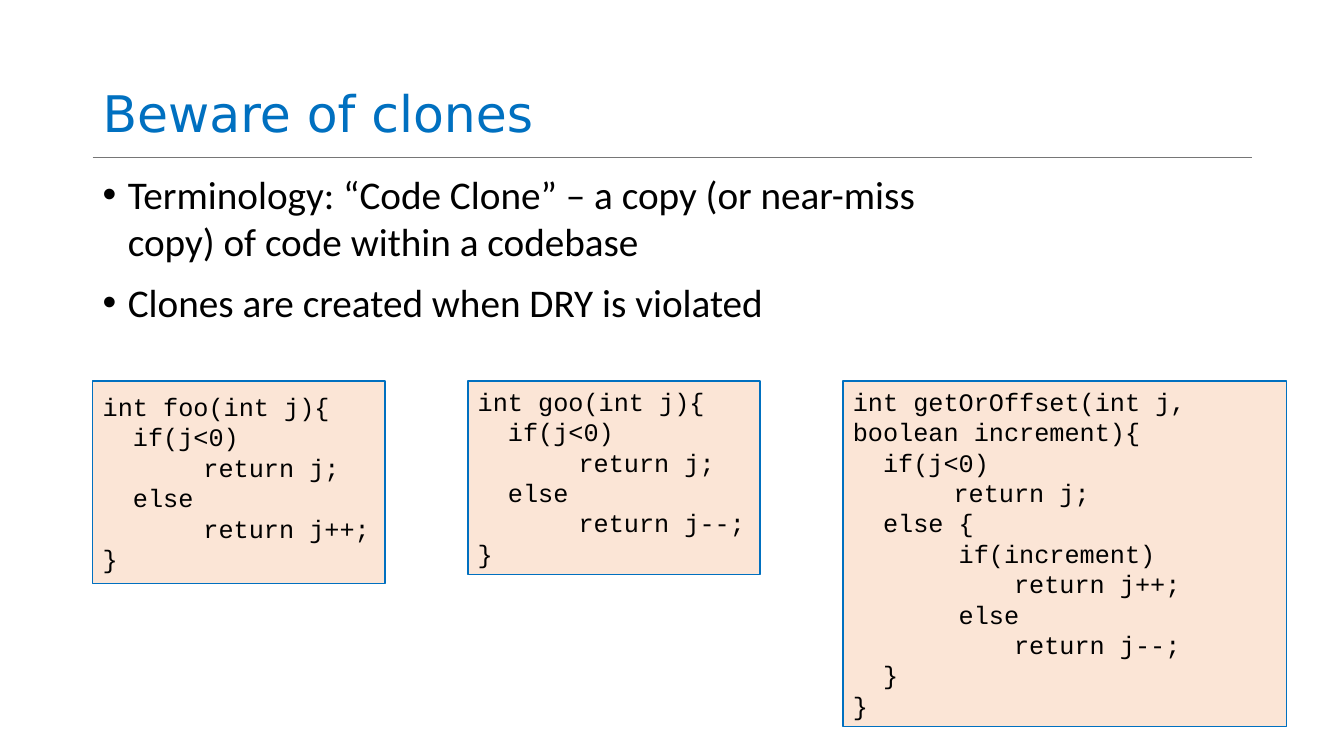
import pptx
import pptx.dml.color
import pptx.enum.shapes
import pptx.enum.text
import pptx.oxml
import pptx.oxml.ns
import pptx.util
from pptx.util import Inches

RGBColor = pptx.dml.color.RGBColor
Pt = pptx.util.Pt
Anchor = pptx.enum.text.MSO_ANCHOR

BLUE = RGBColor(0x00, 0x70, 0xC0)
BLACK = RGBColor(0x00, 0x00, 0x00)
PEACH = RGBColor(0xFB, 0xE5, 0xD6)
GRAY = RGBColor(0x76, 0x76, 0x76)

LEFT = 0.92
CODE_TOP = 3.78
CODE_STEP = 3.72

BULLETS = [
    "Terminology: “Code Clone” – a copy (or near-miss copy) of code within a codebase",
    "Clones are created when DRY is violated",
]


def simple_clone(name, change):
    return [f"int {name}(int j){{", "  if(j<0)", "  \treturn j;", "  else",
            f"  \treturn {change};", "}"]


MERGED = [
    "int getOrOffset(int j, boolean increment){",
    "  if(j<0)",
    "  \treturn j;",
    "  else {",
    "       if(increment)",
    " \t    return j++;",
    "       else",
    "  \t    return j--;",
    "  }",
    "}",
]

# width, height, anchor, lines
CODE_BOXES = [
    (2.9, 2.01, Anchor.MIDDLE, simple_clone("foo", "j++")),
    (2.9, 1.92, Anchor.TOP, simple_clone("goo", "j--")),
    (4.4, 3.43, Anchor.TOP, MERGED),
]


class SlideBuilder:
    title_font = "DejaVu Sans"
    body_font = "Calibri"
    code_font = "Courier New"

    def __init__(self, slide):
        self.slide = slide

    def add_text(self, paragraph, text, font_name, size, color):
        paragraph.alignment = pptx.enum.text.PP_ALIGN.LEFT
        run = paragraph.add_run()
        run.text = text
        run.font.name = font_name
        run.font.size = Pt(size)
        run.font.color.rgb = color

    def paragraphs(self, frame, lines):
        """Yield each line with its own paragraph in the frame."""
        for index, line in enumerate(lines):
            yield (frame.add_paragraph() if index else frame.paragraphs[0]), line

    def text_frame(self, left, top, width, height, anchor):
        box = self.slide.shapes.add_textbox(
            Inches(left), Inches(top), Inches(width), Inches(height))
        box.text_frame.word_wrap = True
        box.text_frame.vertical_anchor = anchor
        return box.text_frame

    def title(self, text):
        frame = self.text_frame(LEFT, 0.02, 11.5, 1.45, Anchor.BOTTOM)
        paragraph = frame.paragraphs[0]
        paragraph.line_spacing = 0.9
        self.add_text(paragraph, text, self.title_font, 36, BLUE)

    def rule(self):
        line = self.slide.shapes.add_connector(
            pptx.enum.shapes.MSO_CONNECTOR.STRAIGHT,
            Inches(LEFT), Inches(1.56), Inches(12.42), Inches(1.56))
        line.line.color.rgb = GRAY
        line.line.width = Pt(0.5)
        properties = line._element.spPr
        properties.append(pptx.oxml.parse_xml(
            f"<a:effectLst {pptx.oxml.ns.nsdecls('a')}/>"))

    def bullets(self, lines):
        frame = self.text_frame(LEFT, 1.64, 8.63, 4.76, Anchor.TOP)
        for paragraph, line in self.paragraphs(frame, lines):
            properties = paragraph._p.get_or_add_pPr()
            properties.set("marL", str(Inches(0.25)))
            properties.set("indent", str(-Inches(0.25)))
            for tag, name, value in (("buFont", "typeface", "Arial"),
                                     ("buChar", "char", "•")):
                properties.append(pptx.oxml.parse_xml(
                    f"<a:{tag} {pptx.oxml.ns.nsdecls('a')} {name}='{value}'/>"))
            if line != lines[0]:
                paragraph.space_before = Pt(10)
            self.add_text(paragraph, line, self.body_font, 28, BLACK)

    def code_box(self, left, width, height, anchor, lines):
        box = self.slide.shapes.add_shape(
            pptx.enum.shapes.MSO_SHAPE.RECTANGLE,
            Inches(left), Inches(CODE_TOP), Inches(width), Inches(height))
        box.shadow.inherit = False
        box.fill.solid()
        box.fill.fore_color.rgb = PEACH
        box.line.color.rgb = BLUE
        box.line.width = Pt(1)
        frame = box.text_frame
        frame.word_wrap = True
        frame.vertical_anchor = anchor
        for paragraph, line in self.paragraphs(frame, lines):
            paragraph._p.get_or_add_pPr().set("defTabSz", str(Inches(1)))
            paragraph.line_spacing = Pt(21.7)
            self.add_text(paragraph, line, self.code_font, 18, BLACK)


def main():
    presentation = pptx.Presentation()
    presentation.slide_width = Inches(13.33)
    presentation.slide_height = Inches(7.5)
    builder = SlideBuilder(presentation.slides.add_slide(presentation.slide_layouts[6]))
    builder.rule()
    builder.title("Beware of clones")
    builder.bullets(BULLETS)
    for index, code in enumerate(CODE_BOXES):
        builder.code_box(LEFT + index * CODE_STEP, *code)
    presentation.save("out.pptx")


if __name__ == "__main__":
    main()
